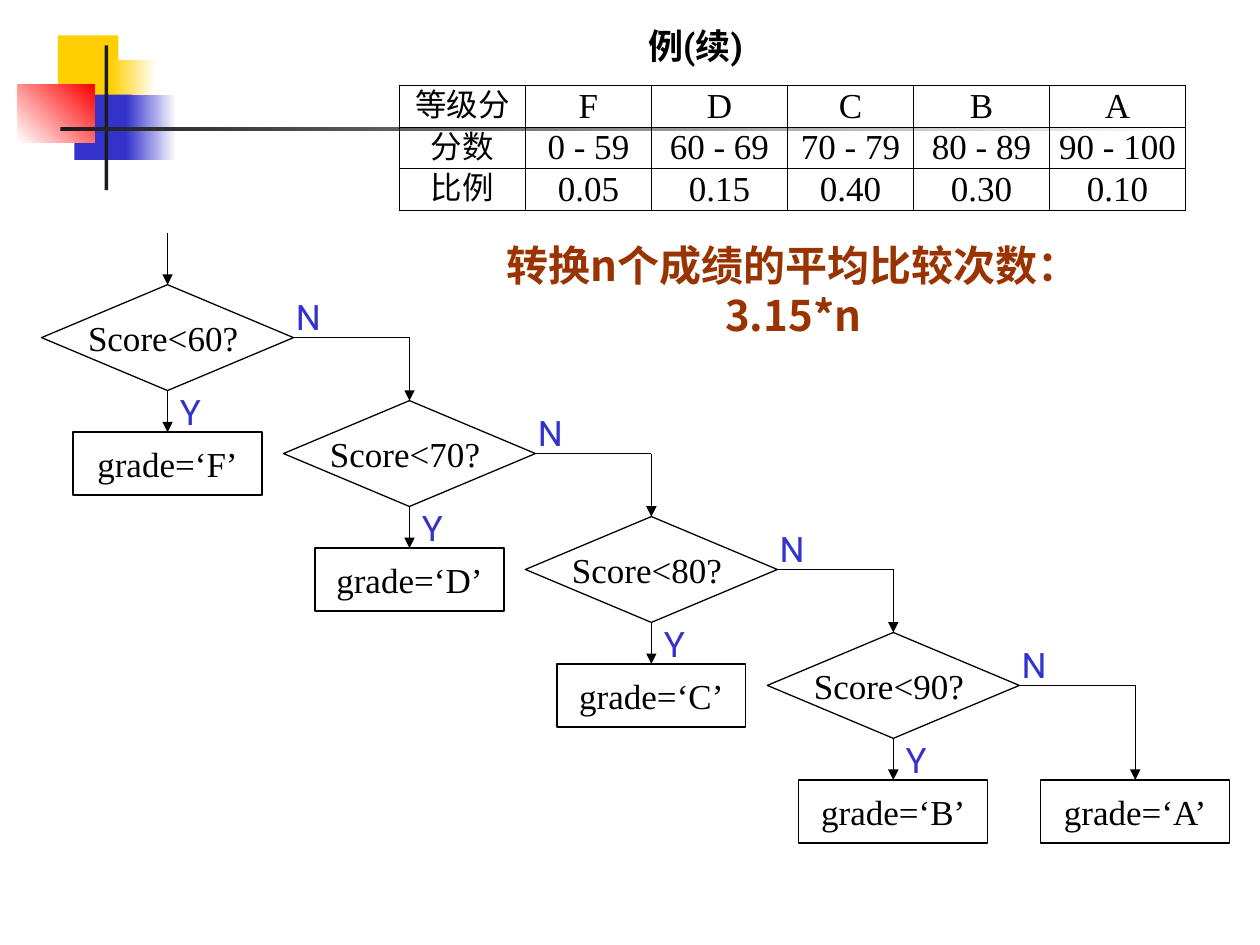
"""Build the slide on average comparisons when turning scores into grades."""
from dataclasses import dataclass

from lxml import etree
from pptx import Presentation
from pptx import util as u
from pptx.dml.color import RGBColor
from pptx.enum import shapes, text
from pptx.oxml.ns import qn


@dataclass(frozen=True)
class Theme:
    ink: str = "000000"
    bar: str = "1C1C1C"
    gold: str = "FFCF01"
    blue: str = "3333CC"
    red: str = "FF0000"
    white: str = "FFFFFF"
    rust: str = "993300"
    serif: str = "Times New Roman"
    sans: str = "Roboto"
    han: str = "Noto Sans CJK SC"
    small: int = 18
    body: int = 20
    large: int = 24
    rule: float = 0.75


class Deck:
    def __init__(self, theme):
        self.theme = theme
        self.prs = Presentation()
        self.prs.slide_width, self.prs.slide_height = u.Inches(10), u.Inches(7.5)
        self.slide = self.prs.slides.add_slide(self.prs.slide_layouts[6])

    def style(self, para, words, **form):
        look = dict(size=self.theme.body, name=self.theme.serif,
                    color=self.theme.ink, bold=False) | form
        para.alignment = text.PP_ALIGN.CENTER
        run = para.add_run()
        run.text = words
        run.font.color.rgb = RGBColor.from_string(look.pop("color"))
        look["size"] = u.Pt(look["size"])
        for key, val in look.items():
            setattr(run.font, key, val)
        latin = run.font._element.find(qn("a:latin"))
        east = etree.Element(qn("a:ea"), typeface=self.theme.han)
        latin.addnext(east)

    def letter(self, shape, words, pad=(0.1, 0.05), wrap=False,
               anchor=text.MSO_ANCHOR.MIDDLE, lead=None, **form):
        frame = shape.text_frame
        side, edge = map(u.Inches, pad)
        setup = dict(margin_left=side, margin_right=side, margin_top=edge,
                     margin_bottom=edge, word_wrap=wrap, vertical_anchor=anchor)
        for key, val in setup.items():
            setattr(frame, key, val)
        para = frame.paragraphs[0]
        if lead:
            para.line_spacing = u.Pt(lead)
        self.style(para, words, **form)

    def label(self, area, words, **form):
        box = self.slide.shapes.add_textbox(*map(u.Inches, area))
        self.letter(box, words, **form)

    def block(self, area, *tints, turn=0):
        box = self.slide.shapes.add_shape(
            shapes.MSO_SHAPE.RECTANGLE, *map(u.Inches, area))
        box.shadow.inherit = False
        box.line.fill.background()
        if len(tints) == 1:
            box.fill.solid()
            box.fill.fore_color.rgb = RGBColor.from_string(tints[0])
            return
        box.fill.gradient()
        box.fill.gradient_angle = turn
        for stop, tint in zip(box.fill.gradient_stops, tints):
            stop.color.rgb = RGBColor.from_string(tint)

    def node(self, kind, area, words, **form):
        box = self.slide.shapes.add_shape(kind, *map(u.Inches, area))
        box.shadow.inherit = False
        box.fill.background()
        box.line.color.rgb = RGBColor.from_string(self.theme.ink)
        box.line.width = u.Pt(self.theme.rule)
        self.letter(box, words, **form)
        return box

    def line(self, start, end, begin=None, stop=None, arrow=True):
        link = self.slide.shapes.add_connector(
            shapes.MSO_CONNECTOR.STRAIGHT, *map(u.Inches, start + end))
        link.line.color.rgb = RGBColor.from_string(self.theme.ink)
        link.line.width = u.Pt(self.theme.rule)
        if begin:
            link.begin_connect(*begin)
        if stop:
            link.end_connect(*stop)
        if arrow:
            edge = link._element.spPr.find(qn("a:ln"))
            etree.SubElement(edge, qn("a:tailEnd"), type="triangle")
        etree.SubElement(link._element.spPr, qn("a:effectLst"))

    def border(self, cell):
        props = cell._tc.get_or_add_tcPr()
        for spot, side in enumerate("LRTB"):
            edge = etree.Element(qn(f"a:ln{side}"), w=str(u.Pt(self.theme.rule)))
            fill = etree.SubElement(edge, qn("a:solidFill"))
            etree.SubElement(fill, qn("a:srgbClr"), val=self.theme.ink)
            props.insert(spot, edge)

    def table(self, left, top, widths, high, rows):
        area = (left, top, sum(widths), high * len(rows))
        grid = self.slide.shapes.add_table(
            len(rows), len(widths), *map(u.Inches, area)).table
        grid.first_row = grid.horz_banding = False
        for col, wide in zip(grid.columns, widths):
            col.width = u.Inches(wide)
        for r, row in enumerate(rows):
            grid.rows[r].height = u.Inches(high)
            for c, words in enumerate(row):
                cell = grid.cell(r, c)
                cell.fill.background()
                cell.vertical_anchor = text.MSO_ANCHOR.MIDDLE
                for side in ("left", "right", "top", "bottom"):
                    setattr(cell, f"margin_{side}", 0)
                para = cell.text_frame.paragraphs[0]
                para.line_spacing = u.Pt(22)
                size = self.theme.body if c else self.theme.small
                self.style(para, words, size=size)
                self.border(cell)


def motif(deck):
    t = deck.theme
    deck.block((0.46, 0.28, 0.48, 0.52), t.gold)
    deck.block((0.88, 0.48, 0.36, 0.52), t.gold, t.white)
    deck.block((0.59, 0.75, 0.46, 0.52), t.blue)
    deck.block((1, 0.75, 0.4, 0.52), t.blue, t.white)
    deck.block((0.14, 0.67, 0.61, 0.46), t.white, t.red, turn=45)
    deck.block((0.83, 0.36, 0.03, 1.15), t.bar)
    deck.block((0.48, 1.01, 9, 0.03), t.bar, t.white)


def flow(deck):
    t = deck.theme
    mark = dict(name=t.sans, color=t.blue)
    rect, rhomb = shapes.MSO_SHAPE.RECTANGLE, shapes.MSO_SHAPE.DIAMOND
    last = None
    for i, (limit, grade) in enumerate(zip((60, 70, 80, 90), "FDCB")):
        x, y = 0.33 + 1.92 * i, 2.26 + 0.92 * i
        test = deck.node(rhomb, (x, y, 2, 0.84), f"Score<{limit}? ", pad=(0, 0.05))
        start = (x + 1, y - 0.5) if last else (x + 1, 1.85)
        deck.line(start, (x + 1, y), stop=(test, 0))
        box = deck.node(rect, (x + 0.25, y + 1.17, 1.5, 0.5), f"grade=‘{grade}’")
        deck.line((x + 1, y + 0.84), (x + 1, y + 1.17), (test, 2), (box, 0))
        deck.line((x + 2, y + 0.42), (x + 2.92, y + 0.42), (test, 3), arrow=False)
        deck.label((x + 1, y + 0.84, 0.33, 0.33), "Y", **mark)
        deck.label((x + 1.92, y + 0.09, 0.33, 0.33), "N", **mark)
        last = test
    box = deck.node(rect, (x + 2.17, y + 1.17, 1.5, 0.5), "grade=‘A’")
    deck.line((x + 2.92, y + 0.42), (x + 2.92, y + 1.17), stop=(box, 0))


def main():
    deck = Deck(Theme())
    t = deck.theme
    motif(deck)
    deck.label((1.26, 0.21, 8.52, 0.32), "例(续)", pad=(0.1, 0), wrap=True,
               anchor=text.MSO_ANCHOR.BOTTOM, name=t.sans, bold=True)
    flow(deck)
    deck.label((3.42, 1.85, 5.75, 0.9), "转换n个成绩的平均比较次数：3.15*n",
               pad=(0.15, 0.05), wrap=True, anchor=text.MSO_ANCHOR.TOP, lead=28.8,
               size=t.large, name=t.han, color=t.rust, bold=True)
    deck.table(3.17, 0.68, (1, 1, 1.08, 1, 1.08, 1.08), 0.33, (
        ("等级分", "F", "D", "C", "B", "A"),
        ("分数", "0 - 59", "60 - 69", "70 - 79", "80 - 89", "90 - 100"),
        ("比例", "0.05", "0.15", "0.40", "0.30", "0.10")))
    deck.prs.save("out.pptx")


if __name__ == "__main__":
    main()
